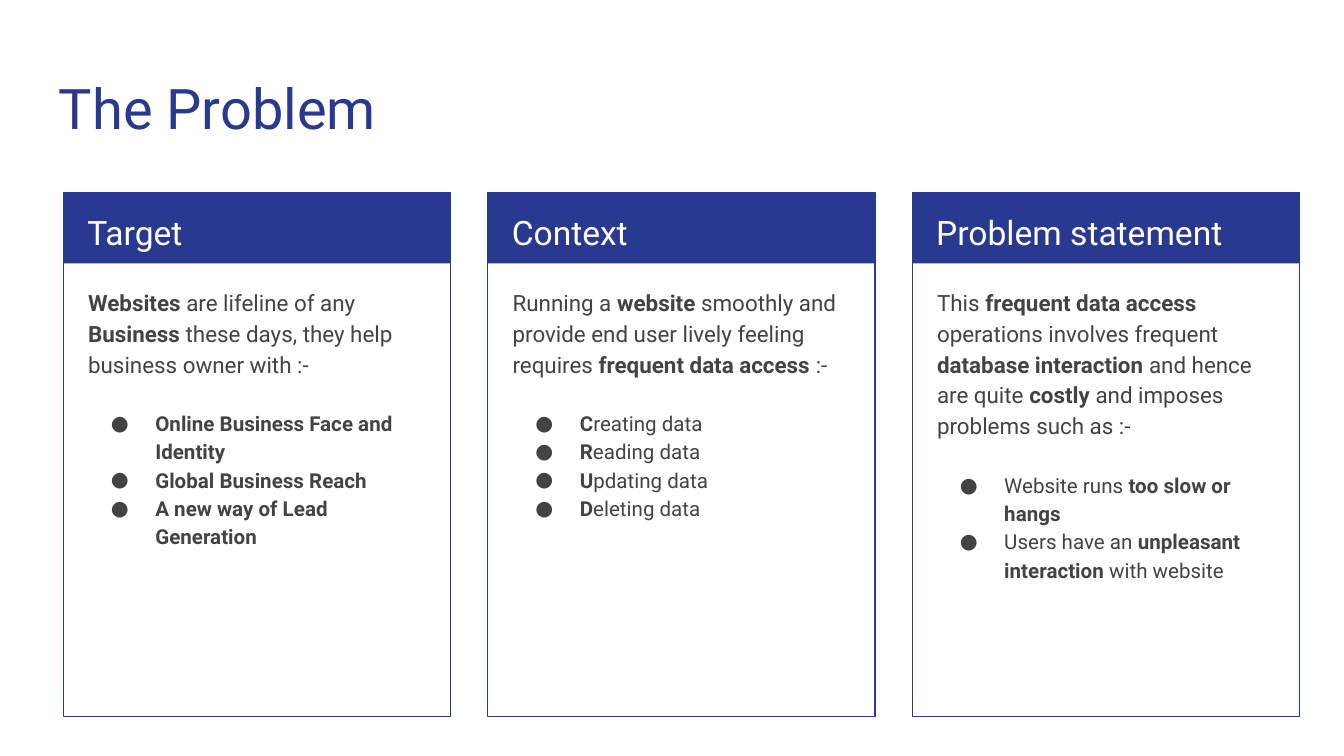
from lxml import etree
from pptx import Presentation
from pptx.dml.color import RGBColor
from pptx.enum import shapes, text
from pptx.oxml import ns
from pptx.util import Pt

NAVY = RGBColor(0x2A, 0x39, 0x90)
WHITE = RGBColor(0xFF, 0xFF, 0xFF)
GREY = RGBColor(0x43, 0x43, 0x43)

CARD_LEFT, CARD_TOP, CARD_PITCH = 33.9, 103, 227.4
CARD_WIDTH, CARD_HEIGHT, HEADER_HEIGHT = 207.4, 280.8, 38.2

CARDS = [
    ("Target",
     "*Websites *are lifeline of any *Business *these days, they help business owner with :-",
     ["*Online Business Face and Identity*",
      "*Global Business Reach*",
      "*A new way of Lead Generation*"]),
    ("Context",
     "Running a *website *smoothly and provide end user lively feeling requires* frequent data access* :-",
     ["*C*reating data", "*R*eading data", "*U*pdating data", "*D*eleting data"]),
    ("Problem statement",
     "This *frequent data access* operations involves frequent *database interaction* "
     "and hence are quite *costly* and imposes problems such as :-",
     ["Website runs *too slow or hangs*",
      "Users have an *unpleasant interaction *with website"]),
]


class SlideBuilder:
    font = "Roboto"
    inset = Pt(7.2)
    line_spacing = 1.15

    def __init__(self, page):
        self.page = page

    def rectangle(self, left, top, width, height, fill=None, line=None):
        box = self.page.shapes.add_shape(
            shapes.MSO_SHAPE.RECTANGLE, Pt(left), Pt(top), Pt(width), Pt(height))
        box.shadow.inherit = False
        if fill is None:
            box.fill.background()
        else:
            box.fill.solid()
            box.fill.fore_color.rgb = fill
        if line is None:
            box.line.fill.background()
        else:
            box.line.color.rgb = line
            box.line.width = Pt(0.75)

    def text_box(self, left, top, width, height):
        frame = self.page.shapes.add_textbox(
            Pt(left), Pt(top), Pt(width), Pt(height)).text_frame
        frame.word_wrap = True
        frame.vertical_anchor = text.MSO_ANCHOR.TOP
        frame.margin_left = frame.margin_right = self.inset
        frame.margin_top = frame.margin_bottom = self.inset
        return frame

    def add_spans(self, para, marked, size, color, spacing=line_spacing, after=0):
        para.line_spacing = spacing
        para.space_after = Pt(after)
        for index, words in enumerate(marked.split("*")):
            if words:
                span = para.add_run()
                span.text = words
                span.font.name = self.font
                span.font.size = Pt(size)
                span.font.bold = index % 2 == 1
                span.font.color.rgb = color

    def bullet(self, para, color):
        props = para._p.get_or_add_pPr()
        props.set("marL", str(Pt(36)))
        props.set("indent", str(-Pt(23.75)))
        tint = etree.SubElement(props, ns.qn("a:buClr"))
        etree.SubElement(tint, ns.qn("a:srgbClr"), val=str(color))
        etree.SubElement(props, ns.qn("a:buFont"), typeface=self.font)
        etree.SubElement(props, ns.qn("a:buChar"), char="●")

    def title(self, words):
        frame = self.text_box(24.5, 32.4, 671, 47.5)
        self.add_spans(frame.paragraphs[0], words, 30, NAVY, spacing=1)

    def card(self, left, heading, intro, points):
        self.rectangle(left, CARD_TOP, CARD_WIDTH, HEADER_HEIGHT, fill=NAVY)
        self.rectangle(left, CARD_TOP, CARD_WIDTH, CARD_HEIGHT, line=NAVY)
        header = self.text_box(left + 5.8, CARD_TOP, 196.6, 36)
        self.add_spans(header.paragraphs[0], heading, 18, WHITE)
        body = self.text_box(left + 6.2, 145.4, 195.1, 237)
        self.add_spans(body.paragraphs[0], intro, 12, GREY, after=16)
        for point in points:
            para = body.add_paragraph()
            self.add_spans(para, point, 11, GREY, after=16 if point == points[-1] else 0)
            self.bullet(para, GREY)


def main():
    deck = Presentation()
    deck.slide_width, deck.slide_height = Pt(720), Pt(405)
    builder = SlideBuilder(deck.slides.add_slide(deck.slide_layouts[6]))
    builder.title("The Problem")
    for column, card in enumerate(CARDS):
        builder.card(CARD_LEFT + column * CARD_PITCH, *card)
    deck.save("out.pptx")


if __name__ == "__main__":
    main()
